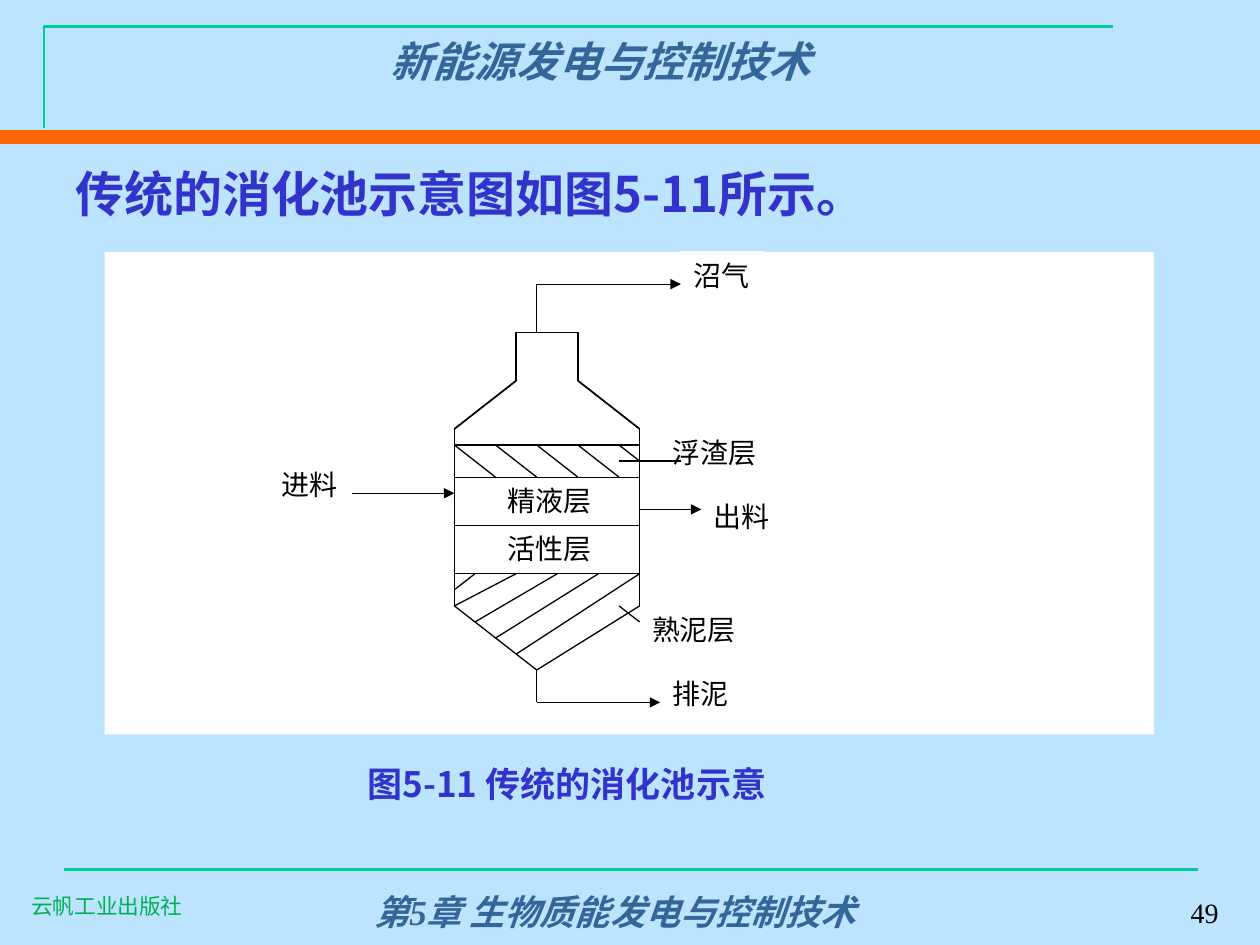
from itertools import pairwise

from lxml import etree
from pptx import Presentation
from pptx import util as u
from pptx.dml.color import RGBColor
from pptx.enum import shapes, text
from pptx.oxml import ns

COLORS = {
    "sky": "BDE4FF", "orange": "FF6600", "teal": "00CC99", "steel": "336699",
    "green": "00B050", "indigo": "3333CC", "black": "000000", "white": "FFFFFF",
}
SERIF, SANS, SANS_JP = "Times New Roman", "Noto Sans CJK SC", "Noto Sans CJK JP"
LEFT, CENTER, RIGHT = text.PP_ALIGN.LEFT, text.PP_ALIGN.CENTER, text.PP_ALIGN.RIGHT
TOP, BOTTOM = text.MSO_ANCHOR.TOP, text.MSO_ANCHOR.BOTTOM

COLUMNS, ROWS = 51, 30
LABELS = [
    ("精液层", 19, 14, 7), ("活性层", 19, 17, 7), ("进料", 8, 13, 4),
    ("沼气", 28, 0, 4), ("浮渣层", 27, 11, 9), ("出料", 29, 15, 4),
    ("熟泥层", 26, 22, 9), ("排泥", 27, 26, 6),
]
TANK_WALLS = [
    [(17, 22), (17, 11), (20, 8), (20, 5), (23, 5), (23, 8), (26, 11), (26, 22)],
    [(17, 12), (26, 12)],
]
THIN_LINES = [
    [(17, 14), (26, 14)], [(17, 17), (26, 17)], [(17, 20), (26, 20)],
    [(17, 22), (21, 25.99), (26, 22)],
    [(21, 5), (21, 2)], [(21, 26), (21, 28)],
    [(25, 13), (28, 13)], [(25, 22), (26, 23)],
    [(25, 12), (26, 13)],
]
SCUM_HATCH = [[(x, 12), (x + 2, 14)] for x in range(17, 25, 2)]
SLUDGE_HATCH = [
    [(26, 20), (20, 25)], [(24, 20), (19, 24)], [(22, 20), (18, 23)],
    [(20, 20), (17, 22)], [(18, 20), (17, 21)],
]
FLOWS = [
    [(26, 16), (29, 16)], [(12, 15), (17, 15)],
    [(21, 2), (28, 2)], [(21, 28), (27, 28)],
]


def rgb(color):
    return RGBColor.from_string(COLORS[color])


def add_line(slide, start, end, color, width, arrow=False):
    line = slide.shapes.add_connector(
        shapes.MSO_CONNECTOR.STRAIGHT, *(u.Inches(v) for v in (*start, *end)))
    line.line.color.rgb = rgb(color)
    line.line.width = u.Pt(width)
    if arrow:
        etree.SubElement(line.line._get_or_add_ln(), ns.qn("a:tailEnd"), type="triangle")
    etree.SubElement(line._element.spPr, ns.qn("a:effectLst"))


def write(frame, words, size, color, font, align=LEFT, anchor=TOP,
          east_font=SANS, spacing=None, **style):
    frame.word_wrap = True
    frame.vertical_anchor = anchor
    paragraph = frame.paragraphs[0]
    paragraph.alignment = align
    paragraph.line_spacing = spacing
    run = paragraph.add_run()
    run.text = words
    for name, value in {"size": u.Pt(size), "name": font, **style}.items():
        setattr(run.font, name, value)
    run.font.color.rgb = rgb(color)
    etree.SubElement(run.font._element, ns.qn("a:ea"), typeface=east_font)


def add_words(slide, box, words, size, color, font, **options):
    field = slide.shapes.add_textbox(*map(u.Inches, box))
    write(field.text_frame, words, size, color, font, **options)


def add_header(slide, box):
    left, top, width, height = box
    add_line(slide, (left, top + height), (left + width, top + height), "orange", 8)
    corner = slide.shapes.build_freeform(u.Inches(left + 0.35), u.Inches(top + 1.02))
    corner.add_line_segments(
        [(u.Inches(left + x), u.Inches(top + 0.21)) for x in (0.35, 8.83)], close=False)
    frame = corner.convert_to_shape()
    frame.fill.background()
    frame.line.color.rgb = rgb("teal")
    frame.line.width = u.Pt(1.5)
    frame.shadow.inherit = False
    add_words(slide, (left + 1.64, top + 0.23, 6.25, 0.63), "新能源发电与控制技术",
              24, "steel", SANS, align=CENTER, bold=True, italic=True)


def add_footer(slide, box):
    left, top, width, height = box
    add_line(slide, (left + 0.51, top), (left + width - 0.49, top), "teal", 1.5)
    add_words(slide, (left + 0.15, top + 0.13, 1.87, 0.31), "云帆工业出版社",
              12.4, "green", SANS_JP, anchor=BOTTOM, east_font=SANS_JP, spacing=0.8)
    add_words(slide, (left + 2.49, top + 0.05, 4.78, 0.5), "第5章 生物质能发电与控制技术",
              20, "steel", SERIF, align=CENTER, anchor=BOTTOM, bold=True, italic=True)
    add_words(slide, (left + 8.12, top + 0.02, 1.65, 0.5), "49",
              16, "black", SERIF, align=RIGHT, anchor=BOTTOM)


def add_panel(slide, box):
    panel = slide.shapes.add_shape(shapes.MSO_SHAPE.RECTANGLE, *map(u.Inches, box))
    panel.shadow.inherit = False
    panel.fill.solid()
    panel.fill.fore_color.rgb = rgb("white")
    panel.line.fill.background()
    return panel


def add_digester(slide, box):
    left, top, width, height = box
    column, row = width / COLUMNS, height / ROWS

    def place(point):
        return left + point[0] * column, top + point[1] * row

    add_panel(slide, box)
    for words, x, y, span in LABELS:
        label = add_panel(slide, (*place((x, y)), span * column, 3 * row))
        label.line.color.rgb = rgb("white")
        label.line.width = u.Pt(0.75)
        write(label.text_frame, words, 16, "black", SERIF, align=text.PP_ALIGN.JUSTIFY)

    thin = THIN_LINES + SCUM_HATCH + SLUDGE_HATCH
    for routes, weight, arrow in ((TANK_WALLS, 1, False), (thin, 0.75, False),
                                  (FLOWS, 0.75, True)):
        for route in routes:
            for start, end in pairwise(route):
                add_line(slide, place(start), place(end), "black", weight, arrow)


def add_figure(slide, box):
    left, top, width, height = box
    add_words(slide, (left, top, 7.33, 0.57), "传统的消化池示意图如图5-11所示。",
              28, "indigo", SANS, bold=True)
    add_digester(slide, (left + 0.33, top + 0.75, 8.33, 3.83))
    add_words(slide, (left + 0.25, top + height - 0.44, 7.5, 0.44),
              "图5-11 传统的消化池示意", 20, "indigo", SANS, align=CENTER, bold=True)


def main():
    deck = Presentation()
    deck.slide_width, deck.slide_height = u.Inches(10), u.Inches(7.5)
    slide = deck.slides.add_slide(deck.slide_layouts[6])
    slide.background.fill.solid()
    slide.background.fill.fore_color.rgb = rgb("sky")
    add_header(slide, (0, 0, 10, 1.09))
    add_footer(slide, (0, 6.9, 10, 0.6))
    add_figure(slide, (0.5, 1.25, 9, 5.19))
    deck.save("out.pptx")


if __name__ == "__main__":
    main()
